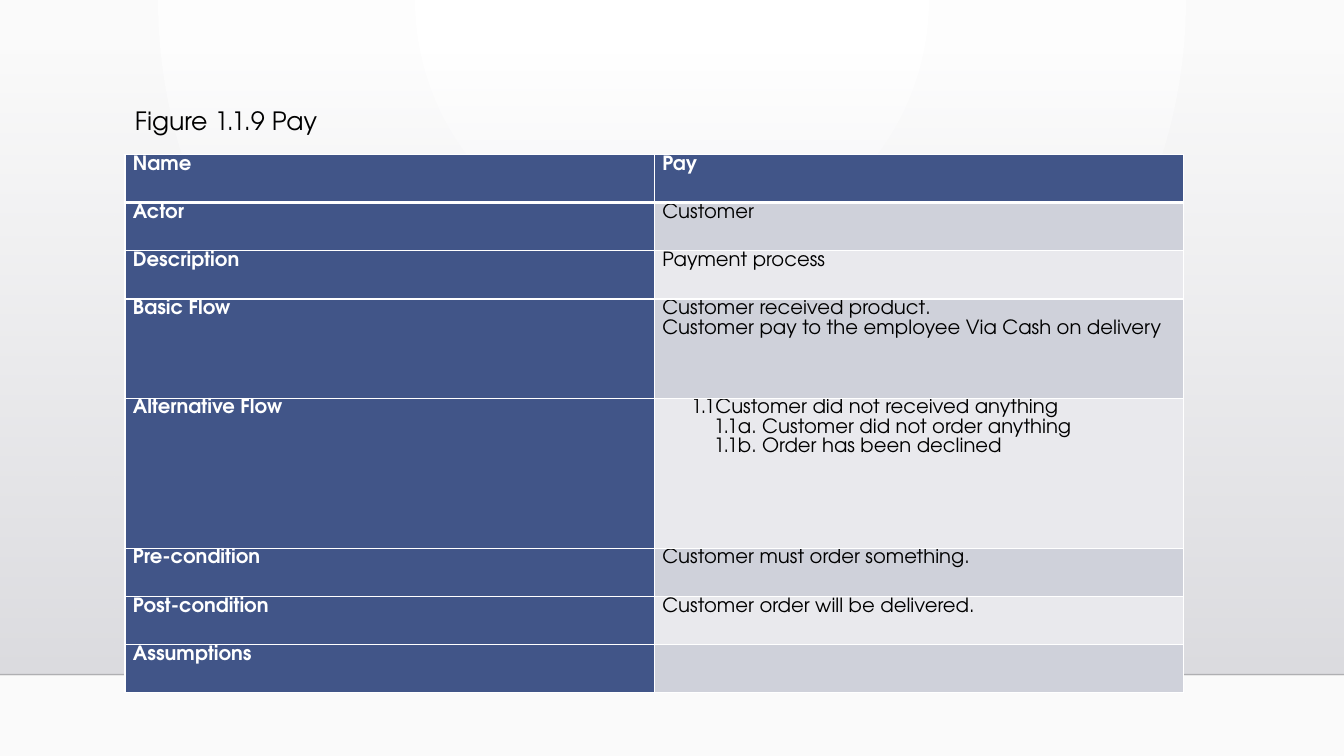
from dataclasses import dataclass

from lxml import etree
from pptx import Presentation
from pptx.dml.color import RGBColor
from pptx.enum.shapes import MSO_CONNECTOR, MSO_SHAPE
from pptx.enum.text import MSO_AUTO_SIZE
from pptx.oxml import parse_xml
from pptx.oxml.ns import nsdecls, qn
from pptx.util import Cm, Pt

RECTANGLE = MSO_SHAPE.RECTANGLE
STRAIGHT = MSO_CONNECTOR.STRAIGHT
FIT_SHAPE = MSO_AUTO_SIZE.SHAPE_TO_FIT_TEXT

SLIDE_W, SLIDE_H = 33.87, 19.05
FLOOR_Y = 17.0


@dataclass(frozen=True)
class Theme:
    font: str = "TeX Gyre Adventor"
    caption_size: int = 18
    body_size: int = 14
    line_spacing: float = 1.07
    ink: str = "000000"
    white: str = "FFFFFF"
    backdrop_edge: str = "FAFAFA"
    wall_top: str = "DCDCE0"
    wall_bottom: str = "DEDEE2"
    floor_line: str = "000001"
    label_fill: str = "415588"
    bands: tuple = ("CFD1DA", "E9E9ED")


def write_text(paragraph, text, *, font, size, color, bold=False,
               spacing=None, indent=0):
    """Put one formatted run in a paragraph; indent is in centimetres."""
    run = paragraph.add_run()
    run.text = text
    run.font.name = font
    run.font.size = Pt(size)
    run.font.bold = bold
    run.font.color.rgb = RGBColor.from_string(color)
    if spacing:
        paragraph.line_spacing = spacing
    if indent:
        properties = paragraph._p.get_or_add_pPr()
        properties.set("marL", str(Cm(indent)))
        properties.set("indent", "0")


def gradient_xml(start, end, direction, start_alpha=100):
    return (f'<a:gradFill {nsdecls("a")} rotWithShape="1"><a:gsLst>'
            f'<a:gs pos="0"><a:srgbClr val="{start}">'
            f'<a:alpha val="{start_alpha * 1000}"/></a:srgbClr></a:gs>'
            f'<a:gs pos="100000"><a:srgbClr val="{end}"/></a:gs>'
            f'</a:gsLst>{direction}</a:gradFill>')


class SlideBuilder:
    def __init__(self, slide, theme):
        self.slide = slide
        self.theme = theme

    def backdrop(self):
        glow = ('<a:path path="circle"><a:fillToRect l="43000" t="0" '
                'r="43000" b="100000"/></a:path>')
        fill = gradient_xml(self.theme.white, self.theme.backdrop_edge, glow)
        self.slide._element.cSld.insert(0, parse_xml(
            f'<p:bg {nsdecls("p", "a")}><p:bgPr>{fill}<a:effectLst/></p:bgPr></p:bg>'))

    def wall(self, top, height):
        wall = self.slide.shapes.add_shape(
            RECTANGLE, 0, Cm(top), Cm(SLIDE_W), Cm(height))
        wall.shadow.inherit = False
        wall.line.fill.background()
        fade = gradient_xml(self.theme.wall_top, self.theme.wall_bottom,
                            '<a:lin ang="5400000" scaled="0"/>', start_alpha=0)
        wall._element.spPr.find(qn("a:prstGeom")).addnext(parse_xml(fade))

    def horizon(self, y, opacity):
        horizon = self.slide.shapes.add_connector(
            STRAIGHT, 0, Cm(y), Cm(SLIDE_W), Cm(y))
        horizon.line.width = Pt(1)
        horizon.line.color.rgb = RGBColor.from_string(self.theme.floor_line)
        properties = horizon._element.spPr
        color = properties.find(".//" + qn("a:srgbClr"))
        etree.SubElement(color, qn("a:alpha")).set("val", str(opacity * 1000))
        etree.SubElement(properties, qn("a:effectLst"))

    def caption(self, text, left, top, width, height):
        frame = self.slide.shapes.add_textbox(
            Cm(left), Cm(top), Cm(width), Cm(height)).text_frame
        frame.word_wrap = False
        frame.auto_size = FIT_SHAPE
        write_text(frame.paragraphs[0], text, font=self.theme.font,
                   size=self.theme.caption_size, color=self.theme.ink)

    def cell(self, cell, lines, fill, color, bold, borders):
        cell.margin_left = cell.margin_right = Cm(0.2)
        cell.margin_top = cell.margin_bottom = 0
        properties = cell._tc.get_or_add_tcPr()
        for side, width in borders.items():
            properties.append(parse_xml(
                f'<a:{side} {nsdecls("a")} w="{Pt(width)}"><a:solidFill>'
                f'<a:srgbClr val="{self.theme.white}"/></a:solidFill></a:{side}>'))
        cell.fill.solid()
        cell.fill.fore_color.rgb = RGBColor.from_string(fill)
        frame = cell.text_frame
        for number, (text, indent) in enumerate(lines):
            paragraph = frame.add_paragraph() if number else frame.paragraphs[0]
            write_text(paragraph, text, font=self.theme.font,
                       size=self.theme.body_size, color=color, bold=bold,
                       spacing=self.theme.line_spacing, indent=indent)

    def use_case(self, rows, left, top, column_width):
        total = sum(height for _, _, height in rows)
        table = self.slide.shapes.add_table(
            len(rows), 2, Cm(left), Cm(top), Cm(2 * column_width), Cm(total)).table
        for column in table.columns:
            column.width = Cm(column_width)
        for index, (label, details, height) in enumerate(rows):
            table.rows[index].height = Cm(height)
            header = index == 0
            borders = {"lnL": 1, "lnR": 1, "lnT": 3 if index == 1 else 1,
                       "lnB": 3 if header else 1}
            label_look = (self.theme.label_fill, self.theme.white, True)
            band = self.theme.bands[(index - 1) % 2]
            detail_look = label_look if header else (band, self.theme.ink, False)
            self.cell(table.cell(index, 0), [(label, 0)], *label_look, borders)
            self.cell(table.cell(index, 1), details, *detail_look, borders)


# Use case rows: label, (line, indent) pairs, height in centimetres
SHORT = 1.215
USE_CASE = [
    ("Name", [("Pay", 0)], SHORT),
    ("Actor", [("Customer", 0)], SHORT),
    ("Description", [("Payment process", 0)], SHORT),
    ("Basic Flow", [("Customer received product.", 0),
                    ("Customer pay to the employee Via Cash on delivery", 0)], 2.5),
    ("Alternative Flow", [("1.1Customer did not received anything", 0.73),
                          ("1.1a. Customer did not order anything", 1.3),
                          ("1.1b. Order has been declined", 1.3)], 3.78),
    ("Pre-condition", [("Customer must order something.", 0)], SHORT),
    ("Post-condition", [("Customer order will be delivered.", 0)], SHORT),
    ("Assumptions", [], SHORT),
]


def main():
    deck = Presentation()
    deck.slide_width, deck.slide_height = Cm(SLIDE_W), Cm(SLIDE_H)
    builder = SlideBuilder(deck.slides.add_slide(deck.slide_layouts[6]), Theme())

    # Room behind the content
    builder.backdrop()
    builder.wall(top=1.3, height=FLOOR_Y - 1.3)
    builder.horizon(FLOOR_Y, opacity=20)

    # Use case and its caption
    builder.use_case(USE_CASE, left=3.15, top=3.89, column_width=13.34)
    builder.caption("Figure 1.1.9 Pay", left=3.15, top=2.54, width=5.33, height=1.8)

    deck.save("out.pptx")


if __name__ == "__main__":
    main()
